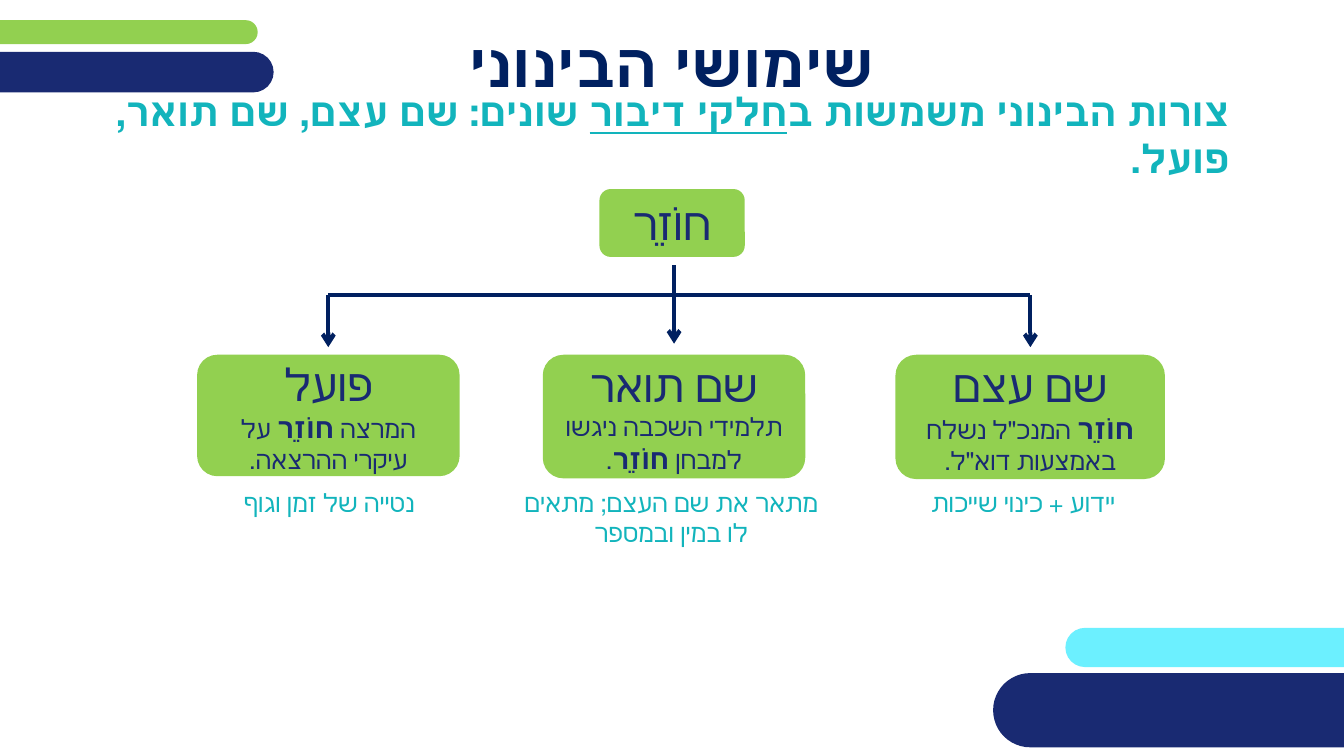
import pptx
import pptx.util
import pptx.dml.color
import pptx.enum.shapes
import pptx.enum.text
import pptx.oxml.ns
import lxml.etree

Pt = pptx.util.Pt
Shape = pptx.enum.shapes.MSO_SHAPE
Align = pptx.enum.text.PP_ALIGN
qn = pptx.oxml.ns.qn
NAVY, DEEP, LIME, TEAL, AQUA = "192A72", "002060", "92D050", "12B4BC", "6CF0FF"


def tint(code):
    return pptx.dml.color.RGBColor.from_string(code)


def write(shape, text, size=18, color=NAVY, bold=False, align=Align.CENTER, indent=0):
    frame = shape.text_frame
    frame.word_wrap = True
    frame.auto_size = pptx.enum.text.MSO_AUTO_SIZE.NONE
    frame.vertical_anchor = pptx.enum.text.MSO_ANCHOR.MIDDLE
    for row, parts in enumerate(text):
        para = frame.add_paragraph() if row else frame.paragraphs[0]
        para.alignment = align
        para.space_before = Pt(0)
        props = para._p.get_or_add_pPr()
        props.set("rtl", "1")
        props.set("marL", str(Pt(indent)))
        props.set("indent", "0")
        lxml.etree.SubElement(props, qn("a:buNone"))
        for words, style in parts:
            run = para.add_run()
            run.text = words
            font = run.font
            font.name = "Quicksand"
            font.size = Pt(style.get("size", size))
            font.bold = style.get("bold", bold)
            font.underline = style.get("line", False)
            font.color.rgb = tint(color)
            run._r.rPr.set("lang", "he-IL")


deck = pptx.Presentation()
deck.slide_width, deck.slide_height = Pt(960), Pt(540)
slide = deck.slides.add_slide(deck.slide_layouts[1])
shapes = slide.shapes
title, body = slide.placeholders

bars = [
    (761, 448.5, 375, 28, AQUA),
    (-20.2, 14.4, 204.3, 17.1, LIME),
    (-38.2, 37, 233.7, 29, NAVY),
    (709.4, 480.8, 296, 53, NAVY),
]
for left, top, width, height, color in bars:
    bar = shapes.add_shape(Shape.ROUNDED_RECTANGLE, Pt(left), Pt(top), Pt(width), Pt(height))
    bar.adjustments[0] = 0.5
    bar.shadow.inherit = False
    bar.fill.solid()
    bar.fill.fore_color.rgb = tint(color)
    bar.line.fill.background()

title.left, title.top, title.width, title.height = Pt(0), Pt(16.5), Pt(960), Pt(57)
write(title, [[("שימושי הבינוני", {})]], size=44, color=DEEP, bold=True)

body.left, body.top, body.width, body.height = Pt(60), Pt(75), Pt(840), Pt(42.5)
claim = [
    ("צורות הבינוני משמשות ב", {}),
    ("חלקי דיבור", {"line": True}),
    (" שונים: שם עצם, שם תואר, פועל.", {}),
]
write(body, [claim], size=28, color=TEAL, bold=True, align=Align.RIGHT, indent=14.4)

head = {"size": 32}
key = ("חוֹזֵר", {"size": 20, "bold": True})
boxes = [
    (428.2, 135, 103.8, 48.5, [[("חוֹזֵר", head)]]),
    (387.7, 253.4, 187.5, 88.3,
     [[("שם תואר", head)], [("תלמידי השכבה ניגשו למבחן ", {}), key, (".", {})]]),
    (639.6, 253.4, 192.5, 88.8,
     [[("שם עצם", head)], [key, (" המנכ\"ל נשלח באמצעות דוא\"ל.", {})]]),
    (140.8, 253.4, 187.5, 86.8,
     [[("פועל", head)], [("המרצה ", {}), key, (" על עיקרי ההרצאה.", {})]]),
]
for left, top, width, height, text in boxes:
    box = shapes.add_shape(
        Shape.FLOWCHART_ALTERNATE_PROCESS, Pt(left), Pt(top), Pt(width), Pt(height))
    box.shadow.inherit = False
    box.fill.solid()
    box.fill.fore_color.rgb = tint(LIME)
    box.line.fill.background()
    write(box, text)

lines = [
    (736, 211, 736, 248, True),
    (234.5, 211, 234.5, 248, True),
    (234.5, 211, 736, 211, False),
    (481.5, 189.5, 481.5, 245.5, True),
]
for left, top, right, bottom, arrow in lines:
    line = shapes.add_connector(
        pptx.enum.shapes.MSO_CONNECTOR.STRAIGHT, Pt(left), Pt(top), Pt(right), Pt(bottom))
    line.line.width = Pt(3)
    line.line.color.rgb = tint(DEEP)
    if arrow:
        lxml.etree.SubElement(line.line._get_or_add_ln(), qn("a:tailEnd")).set("type", "arrow")
    lxml.etree.SubElement(line._element.spPr, qn("a:effectLst"))

notes = [
    (644.4, 340.3, 187.5, 37.4, "יידוע + כינוי שייכות"),
    (367.2, 345.6, 239, 48.2, "מתאר את שם העצם; מתאים לו במין ובמספר"),
    (148.5, 340.2, 187.5, 37.4, "נטייה של זמן וגוף"),
]
for left, top, width, height, words in notes:
    note = shapes.add_textbox(Pt(left), Pt(top), Pt(width), Pt(height))
    write(note, [[(words, {})]], color=TEAL, indent=14.4)

deck.save("out.pptx")
